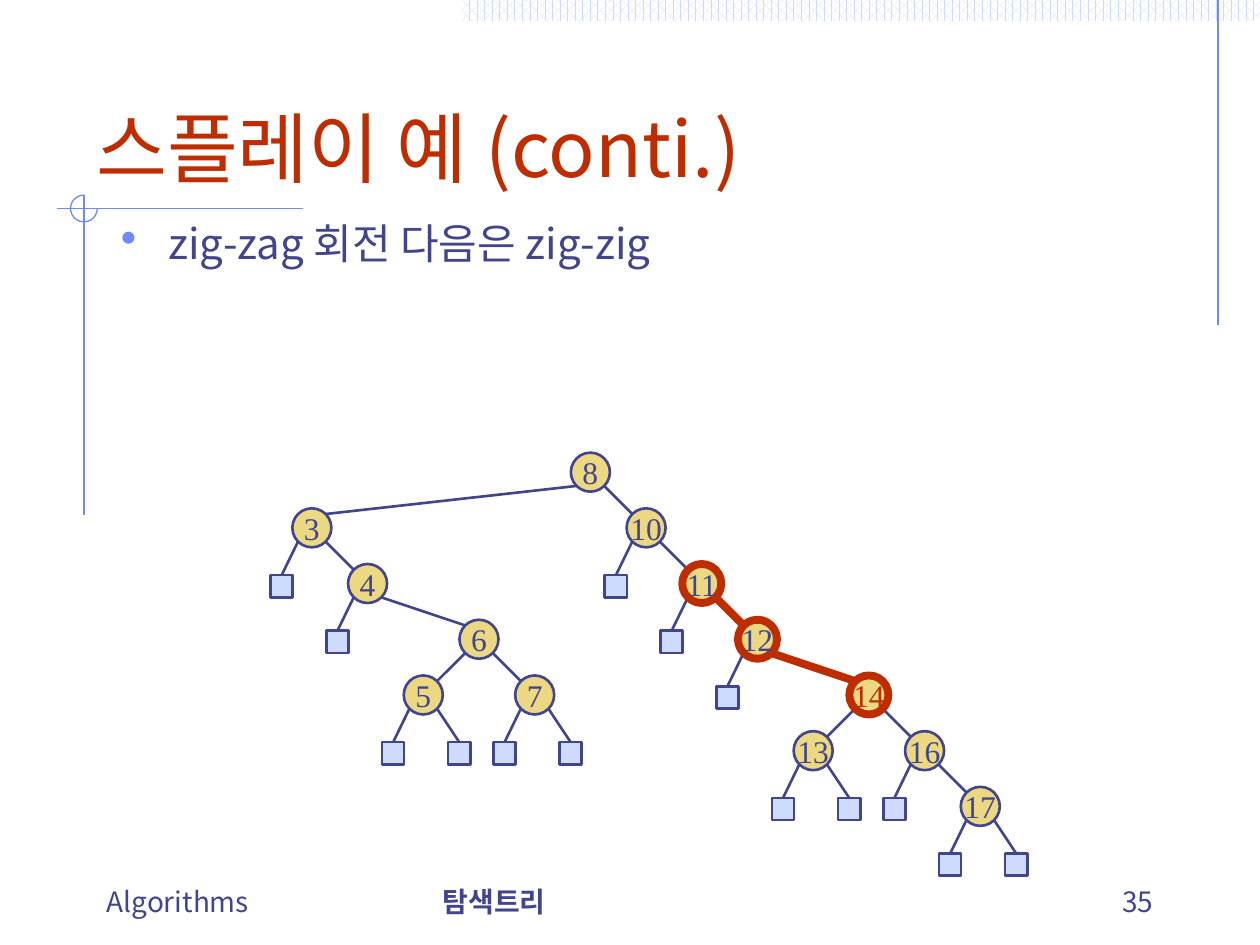
import lxml.etree
import pptx
import pptx.dml.color
import pptx.enum.dml
import pptx.enum.shapes
import pptx.enum.text
import pptx.oxml.ns
import pptx.util

Pt = pptx.util.Pt
RGBColor = pptx.dml.color.RGBColor
Shapes = pptx.enum.shapes.MSO_SHAPE
Anchor = pptx.enum.text.MSO_ANCHOR
Align = pptx.enum.text.PP_ALIGN
qn = pptx.oxml.ns.qn

WHITE = RGBColor(0xFF, 0xFF, 0xFF)
NAVY = RGBColor(0x40, 0x45, 0x8C)
RED = RGBColor(0xBE, 0x2D, 0x00)
BLUE = RGBColor(0x6F, 0x89, 0xF7)
PALE_BLUE = RGBColor(0xCF, 0xDB, 0xFD)
YELLOW = RGBColor(0xEC, 0xD8, 0x82)

SANS = "Noto Sans CJK KR"
SERIF = "Times New Roman"

# A node is (key, left, right); None is an external leaf.
TREE = (8,
        (3, None,
         (4, None,
          (6, (5, None, None), (7, None, None)))),
        (10, None,
         (11, None,
          (12, None,
           (14, (13, None, None),
            (16, None, (17, None, None)))))))
SPLAY_PATH = {11, 12, 14}
SPLAYED_KEY = 14

FIRST_X, FIRST_Y = 178.2, 269.8
STEP = 31.83
NODE_SIZE = 22.3
CORNER = 7.9
LEAF_SIZE = 12.7
LEAF_DROP = 27
LEAF_OFFSETS = (-17.2, 20.6)


def inorder(node):
    if node is None:
        return []
    key, left, right = node
    return inorder(left) + [key] + inorder(right)


class SlideBuilder:
    def __init__(self, slide):
        self.slide = slide
        self.columns = inorder(TREE)

    def line(self, start, end, color=NAVY, width=1.5):
        connector = self.slide.shapes.add_connector(
            pptx.enum.shapes.MSO_CONNECTOR.STRAIGHT,
            *(Pt(value) for value in (*start, *end)))
        connector.line.color.rgb = color
        connector.line.width = Pt(width)
        lxml.etree.SubElement(connector._element.spPr, qn("a:effectLst"))

    def shape(self, kind, left, top, width, height, fill=None, line=None, weight=1.5):
        shape = self.slide.shapes.add_shape(
            kind, Pt(left), Pt(top), Pt(width), Pt(height))
        shape.shadow.inherit = False
        if fill is None:
            shape.fill.background()
        else:
            shape.fill.solid()
            shape.fill.fore_color.rgb = fill
        if line is None:
            shape.line.fill.background()
        else:
            shape.line.color.rgb = line
            shape.line.width = Pt(weight)
        return shape

    def format_text(self, frame, text, size, font, color, align, anchor, bold=False):
        frame.text = text
        frame.vertical_anchor = anchor
        paragraph = frame.paragraphs[0]
        paragraph.alignment = align
        run = paragraph.runs[0]
        run.font.size = Pt(size)
        run.font.bold = bold
        run.font.color.rgb = color
        run.font.name = font
        east_asian = lxml.etree.SubElement(run.font._element, qn("a:ea"))
        east_asian.set("typeface", font)
        return paragraph

    def text(self, text, left, top, width, height, size, color=NAVY,
             align=Align.LEFT, anchor=Anchor.BOTTOM, bold=False):
        box = self.slide.shapes.add_textbox(Pt(left), Pt(top), Pt(width), Pt(height))
        box.text_frame.word_wrap = True
        return self.format_text(box.text_frame, text, size, SANS, color,
                                align, anchor, bold)

    def bullet(self, paragraph, indent):
        properties = paragraph._p.get_or_add_pPr()
        properties.set("marL", str(Pt(indent)))
        properties.set("indent", str(-Pt(indent)))
        color = lxml.etree.SubElement(properties, qn("a:buClr"))
        lxml.etree.SubElement(color, qn("a:srgbClr")).set("val", str(BLUE))
        lxml.etree.SubElement(properties, qn("a:buSzPct")).set("val", "110000")
        lxml.etree.SubElement(properties, qn("a:buChar")).set("char", "•")

    def pattern_band(self, left, top, width, height):
        fill = self.shape(Shapes.RECTANGLE, left, top, width, height).fill
        fill.patterned()
        fill.pattern = pptx.enum.dml.MSO_PATTERN.PERCENT_60
        fill.fore_color.rgb = PALE_BLUE
        fill.back_color.rgb = WHITE

    def three_quarter_circle(self, left, top, size):
        arc = self.shape(Shapes.ARC, left, top, size, size, line=BLUE, weight=0.75)
        arc.adjustments[0] = 0
        arc.adjustments[1] = 162

    def node(self, key, x, y):
        marked = key in SPLAY_PATH
        circle = self.shape(Shapes.OVAL, x - NODE_SIZE / 2, y - NODE_SIZE / 2,
                            NODE_SIZE, NODE_SIZE, YELLOW,
                            RED if marked else NAVY, 4.5 if marked else 1.5)
        frame = circle.text_frame
        frame.margin_left = frame.margin_right = 0
        frame.margin_top = frame.margin_bottom = 0
        frame.word_wrap = False
        self.format_text(frame, str(key), 18, SERIF,
                         RED if key == SPLAYED_KEY else NAVY,
                         Align.CENTER, Anchor.MIDDLE)

    def leaf(self, x, top):
        self.shape(Shapes.RECTANGLE, x - LEAF_SIZE / 2, top,
                   LEAF_SIZE, LEAF_SIZE, PALE_BLUE, NAVY)

    def tree(self, node, depth=0):
        """Place each node by in-order rank and depth, with its edges beneath it."""
        key, *children = node
        x = FIRST_X + STEP * self.columns.index(key)
        y = FIRST_Y + STEP * depth
        for child, side, leaf_offset in zip(children, (-1, 1), LEAF_OFFSETS):
            start = (x + side * CORNER, y + CORNER)
            if child is None:
                self.line(start, (x + leaf_offset, y + LEAF_DROP))
                self.leaf(x + leaf_offset, y + LEAF_DROP)
                continue
            child_x = FIRST_X + STEP * self.columns.index(child[0])
            end = (child_x - side * CORNER, y + STEP - CORNER)
            marked = {key, child[0]} <= SPLAY_PATH
            self.line(start, end, RED if marked else NAVY, 4.5 if marked else 1.5)
            self.tree(child, depth + 1)
        self.node(key, x, y)


def main():
    presentation = pptx.Presentation()
    presentation.slide_width = Pt(720)
    presentation.slide_height = Pt(540)
    slide = presentation.slides.add_slide(presentation.slide_layouts[6])
    builder = SlideBuilder(slide)

    builder.pattern_band(264, 0, 456, 12)
    for start, end in (((696, 0), (696, 186)),
                       ((32.5, 119.2), (173, 119.2)),
                       ((48, 111.5), (48, 294.5))):
        builder.line(start, end, BLUE, 0.75)
    builder.three_quarter_circle(40.3, 111.5, 15.3)

    builder.text("스플레이 예 (conti.)", 48, 24, 621, 90, 44, RED)
    body = builder.text("zig-zag 회전 다음은 zig-zig", 62, 124, 602, 45, 24,
                        anchor=Anchor.TOP)
    body.line_spacing = 0.9
    body.space_before = Pt(4.8)
    builder.bullet(body, 27)

    builder.text("Algorithms", 54, 492, 171, 36, 16)
    builder.text("탐색트리", 246, 492, 228, 36, 16, bold=True)
    builder.text("35", 516, 492, 150, 36, 16, align=Align.RIGHT)

    builder.tree(TREE)
    presentation.save("out.pptx")


if __name__ == "__main__":
    main()
